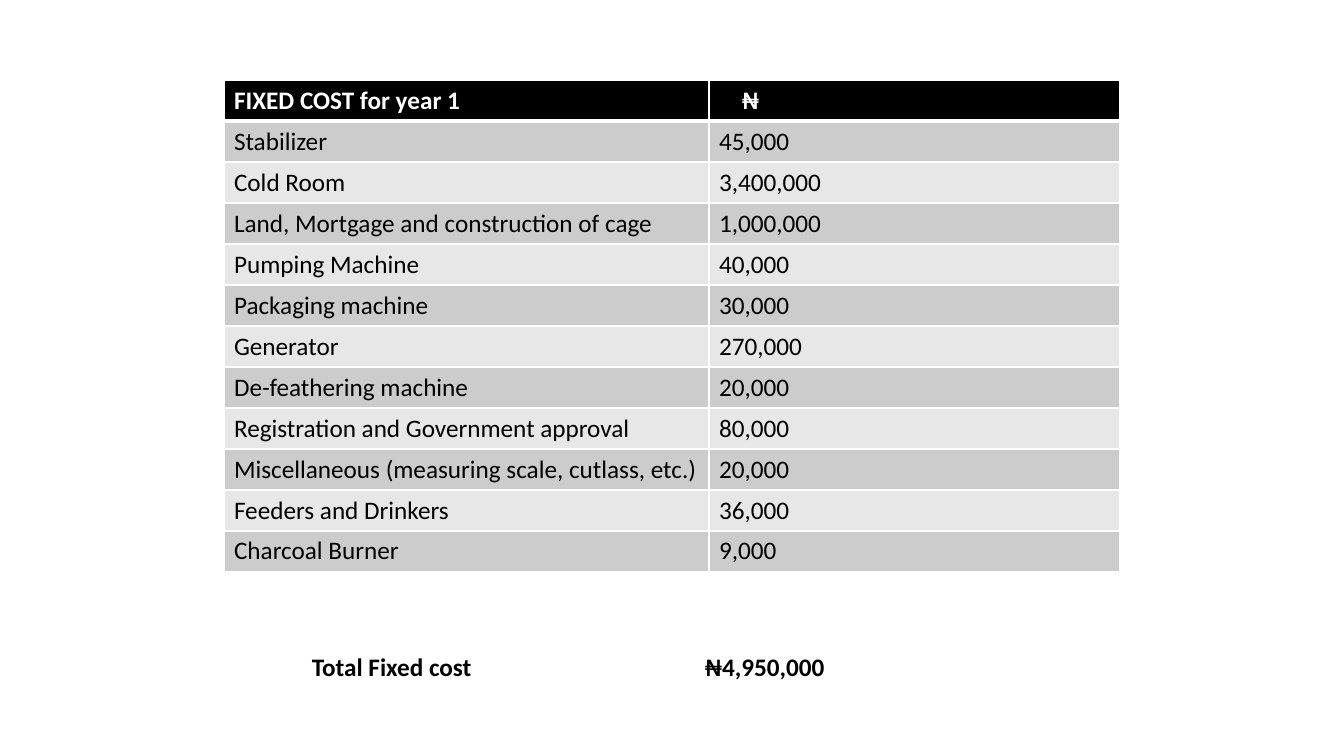
import pptx
import pptx.util
import pptx.dml.color
import pptx.enum.text
import pptx.oxml.ns
import lxml.etree
from dataclasses import dataclass

HEADER = ("FIXED COST for year 1", "₦")
COSTS = [
    ("Stabilizer", "45,000"),
    ("Cold Room", "3,400,000"),
    ("Land, Mortgage and construction of cage", "1,000,000"),
    ("Pumping Machine", "40,000"),
    ("Packaging machine", "30,000"),
    ("Generator", "270,000"),
    ("De-feathering machine", "20,000"),
    ("Registration and Government approval", "80,000"),
    ("Miscellaneous (measuring scale, cutlass, etc.)", "20,000"),
    ("Feeders and Drinkers", "36,000"),
    ("Charcoal Burner", "9,000"),
]
TOTAL = ("Total Fixed cost", "₦4,950,000")


@dataclass(frozen=True)
class Theme:
    font: str = "Calibri"
    size: int = 18
    dark: str = "000000"
    light: str = "FFFFFF"
    bands: tuple = ("CCCCCC", "E7E7E7")
    border: int = 1
    header_border: int = 3


THEME = Theme()
SLIDE_SIZE = (1344, 756)
TABLE_LEFT, TABLE_TOP = 224, 80
COLUMN_WIDTHS = (485, 411)
ROW_HEIGHT = 41
CURRENCY_INDENT = 33
TOTAL_BOX = (302, 646, 779, 40)
TOTAL_TAB = 393


def pixels(count):
    return pptx.util.Emu(round(count * 914400 / 100.8))


def color(value):
    return pptx.dml.color.RGBColor.from_string(value)


def add_element(parent, tag, **attributes):
    values = {name: str(value) for name, value in attributes.items()}
    return lxml.etree.SubElement(parent, pptx.oxml.ns.qn(tag), values)


def style_paragraph(paragraph, text_color, bold):
    font = paragraph.font
    font.name = THEME.font
    font.size = pptx.util.Pt(THEME.size)
    font.bold = bold
    font.color.rgb = color(text_color)


def set_borders(cell, top, bottom):
    properties = cell._tc.get_or_add_tcPr()
    widths = {"L": THEME.border, "R": THEME.border, "T": top, "B": bottom}
    for side, width in widths.items():
        line = add_element(properties, f"a:ln{side}", w=pptx.util.Pt(width))
        fill = add_element(line, "a:solidFill")
        add_element(fill, "a:srgbClr", val=THEME.light)


def add_cost_table(slide):
    rows = [HEADER] + COSTS
    shape = slide.shapes.add_table(
        len(rows), len(HEADER), pixels(TABLE_LEFT), pixels(TABLE_TOP),
        pixels(sum(COLUMN_WIDTHS)), pixels(ROW_HEIGHT * len(rows)))
    table = shape.table
    for column, width in zip(table.columns, COLUMN_WIDTHS):
        column.width = pixels(width)
    for row_index, texts in enumerate(rows):
        table.rows[row_index].height = pixels(ROW_HEIGHT)
        is_header = row_index == 0
        fill_color = THEME.dark if is_header else THEME.bands[(row_index - 1) % 2]
        text_color = THEME.light if is_header else THEME.dark
        top = THEME.header_border if row_index == 1 else THEME.border
        bottom = THEME.header_border if is_header else THEME.border
        for column_index, text in enumerate(texts):
            cell = table.cell(row_index, column_index)
            cell.text = text
            style_paragraph(cell.text_frame.paragraphs[0], text_color, is_header)
            set_borders(cell, top, bottom)
            cell.fill.solid()
            cell.fill.fore_color.rgb = color(fill_color)
    table.cell(0, 1).margin_left = pixels(CURRENCY_INDENT)


def add_total(slide):
    box = slide.shapes.add_textbox(*map(pixels, TOTAL_BOX))
    frame = box.text_frame
    frame.word_wrap = True
    frame.auto_size = pptx.enum.text.MSO_AUTO_SIZE.SHAPE_TO_FIT_TEXT
    paragraph = frame.paragraphs[0]
    paragraph.add_run().text = "\t".join(TOTAL)
    properties = paragraph._p.get_or_add_pPr()
    tabs = add_element(properties, "a:tabLst")
    add_element(tabs, "a:tab", pos=pixels(TOTAL_TAB), algn="l")
    style_paragraph(paragraph, THEME.dark, True)


presentation = pptx.Presentation()
presentation.slide_width, presentation.slide_height = map(pixels, SLIDE_SIZE)
slide = presentation.slides.add_slide(presentation.slide_layouts[6])
add_cost_table(slide)
add_total(slide)
presentation.save("out.pptx")
